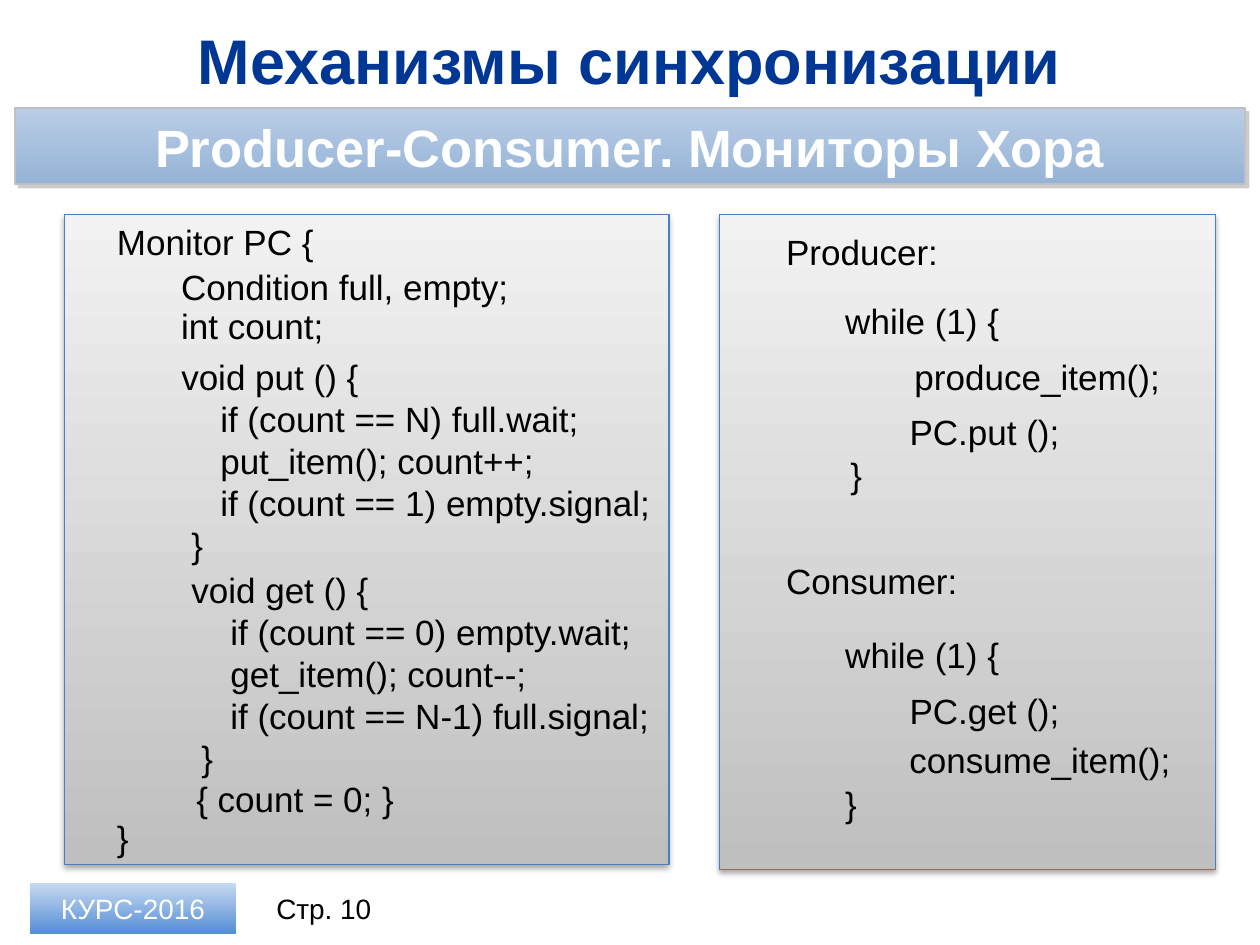
from typing import NamedTuple, Optional

from lxml import etree
from pptx import Presentation, util as u
from pptx.dml.color import RGBColor
from pptx.enum import shapes, text
from pptx.oxml.ns import qn

# The slide is a grid of 100 columns by 75 rows.
COLS, ROWS = 100, 75
WIDE, HIGH = u.Inches(10), u.Inches(7.5)
CELL = WIDE // COLS

FONT = "Arial"
BLACK = RGBColor(0x00, 0x00, 0x00)
WHITE = RGBColor(0xFF, 0xFF, 0xFF)
NAVY = RGBColor(0x00, 0x37, 0x94)
BLUE = RGBColor(0x4B, 0x7E, 0xBC)
SILVER = RGBColor(0xC0, 0xC0, 0xC0)
GREY = RGBColor(0x80, 0x80, 0x80)
PALE = RGBColor(0xF2, 0xF2, 0xF2)
ASH = RGBColor(0xBF, 0xBF, 0xBF)
SKY = RGBColor(0xB9, 0xCD, 0xE5)
STEEL = RGBColor(0x95, 0xB3, 0xD7)
ICE = RGBColor(0xC6, 0xD9, 0xF1)
AZURE = RGBColor(0x55, 0x8E, 0xD5)


class Area(NamedTuple):
    col: float
    row: float
    cols: float
    rows: float


class Shade(NamedTuple):
    color: RGBColor
    alpha: int
    blur: float
    dist: float
    angle: int


class Box(NamedTuple):
    area: Area
    top: RGBColor
    base: RGBColor
    edge: Optional[RGBColor] = None
    width: float = 0.75
    shade: Optional[Shade] = None


class Label(NamedTuple):
    words: str
    size: int
    color: RGBColor
    bold: bool = False


class Code(NamedTuple):
    col: float
    row: float
    cols: float
    words: str


class Method(NamedTuple):
    col: float
    row: float
    head: str
    body: tuple[str, ...]


SOFT = Shade(BLACK, 35, 3.1, 1.8, 90)
HARD = Shade(GREY, 40, 0, 3, 45)

PANELS = (
    Box(Area(57.1, 17, 39.4, 52), PALE, ASH, BLUE, shade=SOFT),
    Box(Area(5.1, 17, 48, 51.6), PALE, ASH, BLUE, shade=SOFT),
)
BANNER = Box(Area(1.2, 8.6, 97.6, 6), SKY, STEEL, SILVER, 1, HARD)
BADGE = Box(Area(2.4, 70.1, 16.3, 4), ICE, AZURE)

LINES = (
    Code(61.4, 17.8, 20.5, "Producer:"),
    Code(66.1, 23.3, 20.5, "while (1) {"),
    Code(71.6, 27.7, 28, "produce_item();"),
    Code(71.2, 32.1, 18.5, "PC.put ();"),
    Code(66.5, 35.5, 20.5, "}"),
    Code(61.4, 43.9, 20.5, "Consumer:"),
    Code(66.1, 49.8, 20.5, "while (1) {"),
    Code(71.2, 54.2, 16.5, "PC.get ();"),
    Code(71.2, 58.1, 28, "consume_item();"),
    Code(66.1, 61.6, 20.5, "}"),
    Code(8.3, 17, 43.9, "Monitor PC {"),
    Code(13.4, 20.6, 34.3, "Condition full, empty;"),
    Code(13.4, 23.7, 30.3, "int count;"),
    Code(14.6, 61.2, 30.3, "{ count = 0; }"),
    Code(8.3, 64.3, 10, "}"),
)
METHODS = (
    Method(13.4, 27.7, "void put () {", (
        "if (count == N) full.wait;",
        "put_item(); count++;",
        "if (count == 1) empty.signal;")),
    Method(14.2, 44.6, "void get () {", (
        "if (count == 0) empty.wait;",
        "get_item(); count--;",
        "if (count == N-1) full.signal;")),
)
BODY, CLOSE = 3.1, 0.8  # indents in columns


def place(area: Area) -> list[int]:
    return [round(n * CELL) for n in area]


def style(para, label: Label) -> None:
    para.text = label.words
    for run in para.runs:
        font = run.font
        font.name, font.size, font.bold = FONT, u.Pt(label.size), label.bold
        font.color.rgb = label.color


def center(shape, label: Label) -> None:
    frame = shape.text_frame
    frame.word_wrap = True
    frame.vertical_anchor = text.MSO_ANCHOR.MIDDLE
    style(frame.paragraphs[0], label)
    frame.paragraphs[0].alignment = text.PP_ALIGN.CENTER


def cast(shape, shade: Shade) -> None:
    """Give the shape an outer shadow."""
    effects = shape._element.spPr.find(qn("a:effectLst"))
    outer = etree.SubElement(
        effects, qn("a:outerShdw"), blurRad=str(u.Pt(shade.blur)),
        dist=str(u.Pt(shade.dist)), dir=str(shade.angle * 60000),
        algn="tl", rotWithShape="0")
    color = etree.SubElement(outer, qn("a:srgbClr"), val=str(shade.color))
    etree.SubElement(color, qn("a:alpha"), val=str(shade.alpha * 1000))


def draw(slide, box: Box):
    shape = slide.shapes.add_shape(
        shapes.MSO_SHAPE.RECTANGLE, *place(box.area))
    shape.shadow.inherit = False
    shape.fill.gradient()
    shape.fill.gradient_angle = 270
    for stop, color in zip(shape.fill.gradient_stops, (box.top, box.base)):
        stop.color.rgb = color
    if box.edge is None:
        shape.line.fill.background()
    else:
        shape.line.color.rgb = box.edge
        shape.line.width = u.Pt(box.width)
    if box.shade:
        cast(shape, box.shade)
    return shape


def write(slide, area: Area, rows: list[tuple[str, float]]) -> None:
    """Write lines of code, each with its indent in columns."""
    frame = slide.shapes.add_textbox(*place(area)).text_frame
    frame.word_wrap = True
    frame.auto_size = text.MSO_AUTO_SIZE.SHAPE_TO_FIT_TEXT
    for i, (words, indent) in enumerate(rows):
        para = frame.add_paragraph() if i else frame.paragraphs[0]
        style(para, Label(words, 20, BLACK))
        if indent:
            para._p.get_or_add_pPr().set("marL", str(round(indent * CELL)))


def main() -> None:
    deck = Presentation()
    deck.slide_width, deck.slide_height = WIDE, HIGH
    slide = deck.slides.add_slide(deck.slide_layouts[6])

    for panel in PANELS:
        draw(slide, panel)
    title = slide.shapes.add_textbox(*place(Area(3.5, 1.3, 92.9, 6.8)))
    center(title, Label("Механизмы синхронизации", 36, NAVY, True))
    page = slide.shapes.add_textbox(*place(Area(20.3, 70.1, 10.8, 4)))
    center(page, Label("Стр. 10", 16, BLACK))
    center(draw(slide, BADGE), Label("КУРС-2016", 16, WHITE))
    center(draw(slide, BANNER),
           Label("Producer-Consumer. Мониторы Хора", 30, WHITE, True))

    for line in LINES:
        write(slide, Area(line.col, line.row, line.cols, 4.3),
              [(line.words, 0)])
    for item in METHODS:
        rows = [(item.head, 0), *((words, BODY) for words in item.body),
                ("}", CLOSE)]
        write(slide, Area(item.col, item.row, 49.2, 17.7), rows)

    deck.save("out.pptx")


if __name__ == "__main__":
    main()
